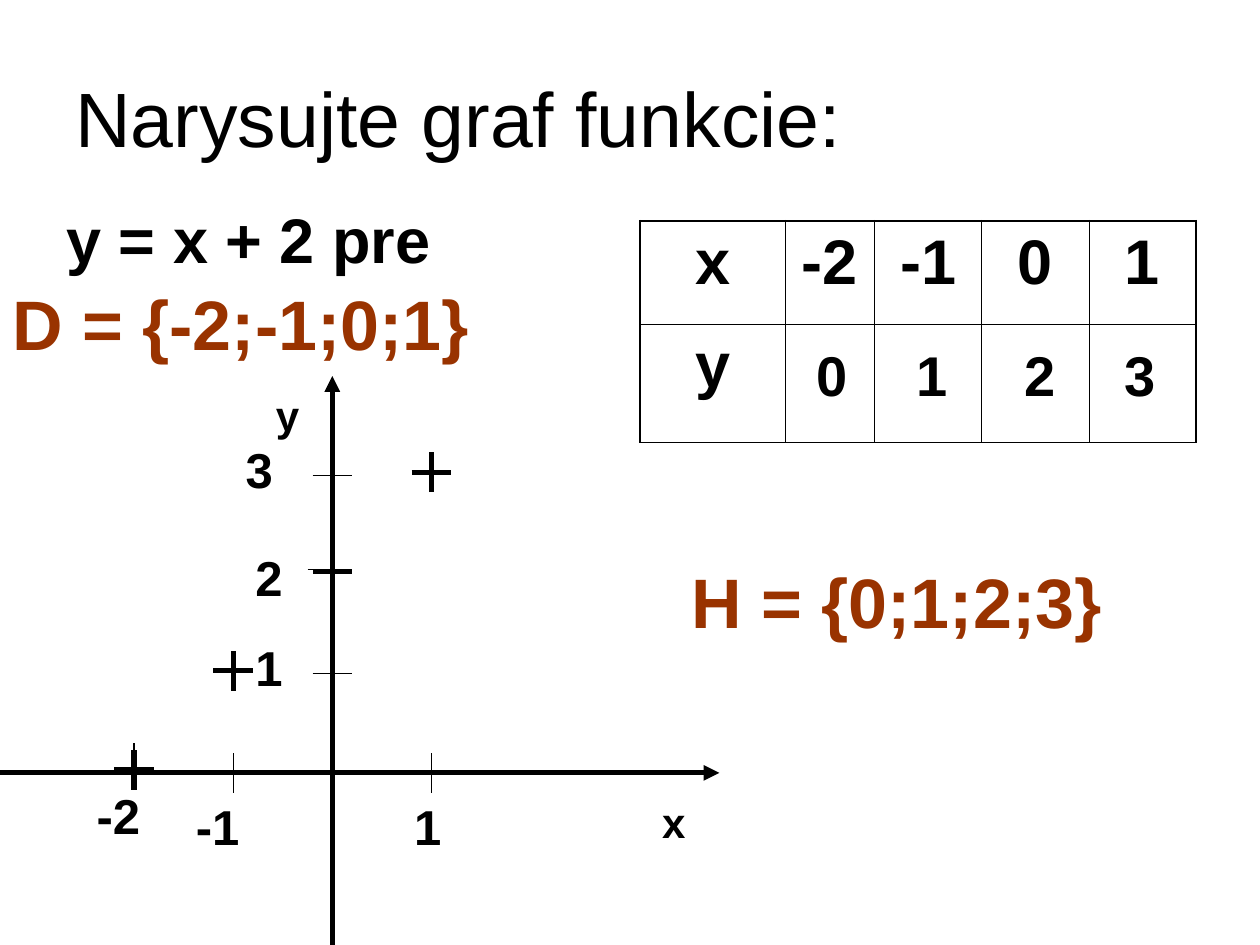
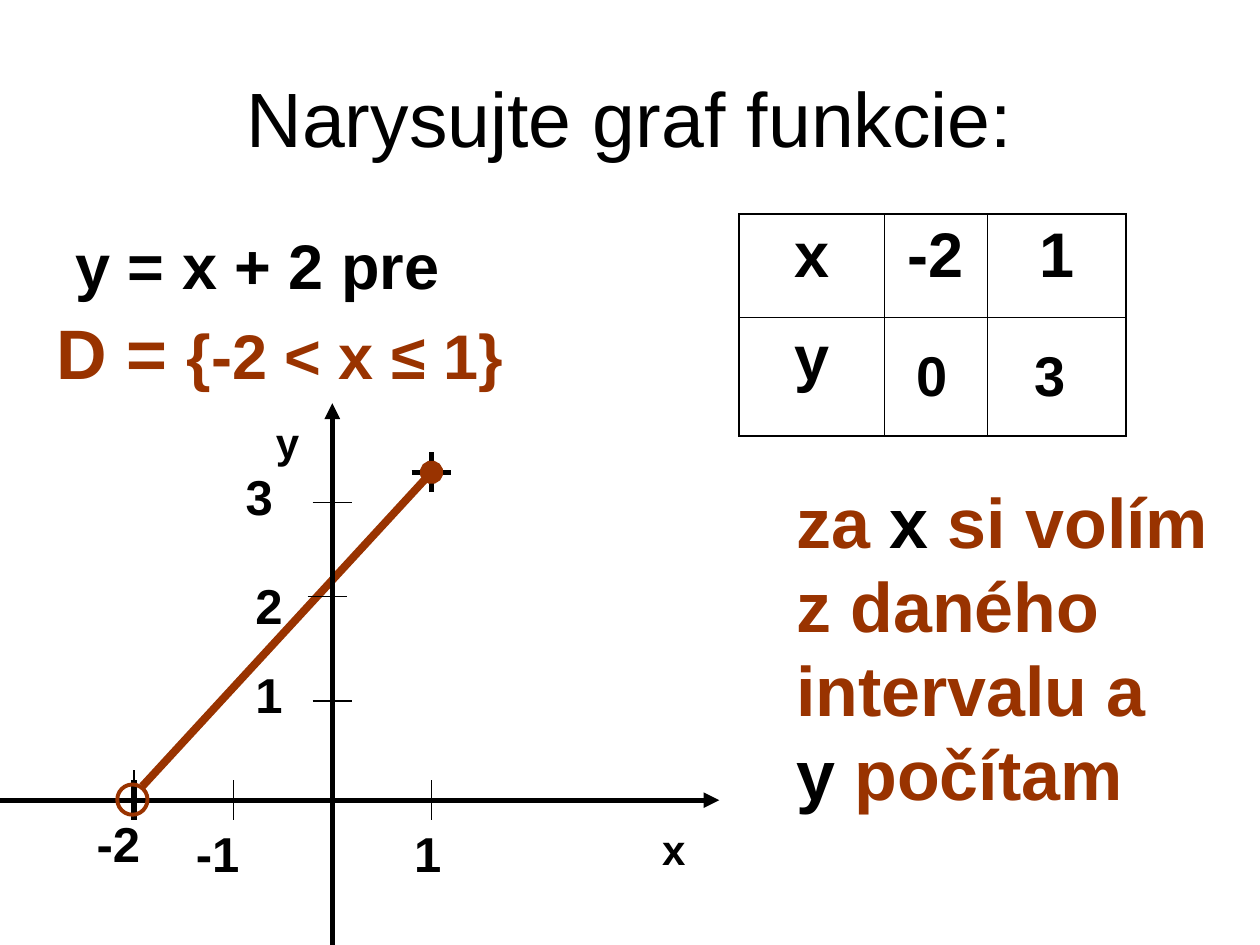
import pptx
import pptx.dml.color
import pptx.enum.shapes
import pptx.enum.text
import pptx.oxml
import pptx.oxml.ns
import pptx.util
from pptx.util import Cm

BLACK = "000000"
RUST = "993300"
FONT = "Arial"
LEFT = pptx.enum.text.PP_ALIGN.LEFT
CENTER = pptx.enum.text.PP_ALIGN.CENTER
TOP = pptx.enum.text.MSO_ANCHOR.TOP
MIDDLE = pptx.enum.text.MSO_ANCHOR.MIDDLE
LINE_HEIGHT = 1.2

# Coordinate system, in centimetres
UNIT = 2.0
ORIGIN_X = 6.7
HALF_MARK = 0.4


def color(hex_code):
    return pptx.dml.color.RGBColor.from_string(hex_code)


def element(xml):
    return pptx.oxml.parse_xml(xml.replace(">", " " + pptx.oxml.ns.nsdecls("a") + ">", 1))


class Sheet:
    """Shared style and the slide being drawn; lengths in centimetres."""

    def __init__(self, deck):
        self.deck = deck
        self.page = None

    def new_page(self):
        self.page = self.deck.slides.add_slide(self.deck.slide_layouts[6])

    def span(self, para, text, size, ink=BLACK, bold=True):
        span = para.add_run()
        span.text = text
        span.font.name = FONT
        span.font.size = pptx.util.Pt(size)
        span.font.bold = bold
        span.font.color.rgb = color(ink)

    def text(self, left, top, width, height, spans, align=LEFT, anchor=TOP):
        """Each span is (text, size, ink, bold); None breaks the line."""
        box = self.page.shapes.add_textbox(Cm(left), Cm(top), Cm(width), Cm(height))
        frame = box.text_frame
        frame.word_wrap = True
        frame.vertical_anchor = anchor
        para = frame.paragraphs[0]
        para.alignment = align
        para.line_spacing = pptx.util.Pt(LINE_HEIGHT * spans[0][1])
        for item in spans:
            if item is None:
                para.add_line_break()
            else:
                self.span(para, *item)

    def title(self, align):
        self.text(1.27, 0.76, 22.86, 3.18,
                  [("Narysujte graf funkcie:", 44, BLACK, False)], align, MIDDLE)

    def formula(self, left, top):
        self.text(left, top, 11.23, 2.87, [("y = x + 2 pre", 36)])

    def line(self, start, end, width=0.75, ink=BLACK, tail=None):
        straight = pptx.enum.shapes.MSO_CONNECTOR.STRAIGHT
        connector = self.page.shapes.add_connector(
            straight, *(Cm(value) for value in (*start, *end)))
        connector.line.width = pptx.util.Pt(width)
        connector.line.color.rgb = color(ink)
        if tail:
            connector.line._get_or_add_ln().append(element(f'<a:tailEnd type="{tail}"/>'.replace("/>", "></a:tailEnd>")))
        connector._element.spPr.append(element("<a:effectLst></a:effectLst>"))

    def horizontal(self, x, y, width=0.75):
        self.line((x - HALF_MARK, y), (x + HALF_MARK, y), width)

    def vertical(self, x, y, width=0.75):
        self.line((x, y + HALF_MARK), (x, y - HALF_MARK), width)

    def cross(self, x, y):
        self.horizontal(x, y, 3)
        self.vertical(x, y, 3)

    def ring(self, x, y, size):
        ring = self.page.shapes.add_shape(
            pptx.enum.shapes.MSO_SHAPE.OVAL,
            Cm(x - size / 2), Cm(y - size / 2), Cm(size), Cm(size))
        ring.shadow.inherit = False
        ring.fill.background()
        ring.line.color.rgb = color(RUST)
        ring.line.width = pptx.util.Pt(2.25)

    def axes(self, axis_y):
        # Axes with arrowheads
        self.line((0, axis_y), (14.5, axis_y), 3, tail="triangle")
        self.line((ORIGIN_X, 19.05), (ORIGIN_X, axis_y - 8), 3, tail="triangle")
        # Ticks: value and its small shift
        for value, shift in ((-2, -0.2), (-1, 0), (1, 0)):
            self.vertical(ORIGIN_X + value * UNIT, axis_y + shift)
        for value, shift_x, shift_y in ((1, 0, 0), (2, -0.1, -0.1), (3, 0, 0)):
            self.horizontal(ORIGIN_X + shift_x, axis_y - value * UNIT + shift_y)
        # Labels, placed from the origin
        for label, x, y in (("-2", -5, 0.14), ("2", -1.8, -4.66), ("-1", -3, 0.35),
                            ("1", 1.4, 0.35), ("3", -2, -6.84), ("1", -1.8, -2.85)):
            self.text(ORIGIN_X + x, axis_y + y, 1.8, 1.45, [(label, 28)])
        for label, x, y in (("y", -1.39, -7.86), ("x", 6.4, 0.35)):
            self.text(ORIGIN_X + x, axis_y + y, 1, 1.27, [(label, 24)])

    def table(self, left, top, widths, x_values):
        heights = (2.08, 2.39)
        frame = self.page.shapes.add_table(
            2, len(widths), Cm(left), Cm(top), Cm(sum(widths)), Cm(sum(heights)))
        table = frame.table
        table.first_row = table.horz_banding = False
        for column, width in zip(table.columns, widths):
            column.width = Cm(width)
        for row, height in zip(table.rows, heights):
            row.height = Cm(height)
        for row, texts in enumerate((["x", *x_values], ["y"] + [""] * len(x_values))):
            for column, text in enumerate(texts):
                cell = table.cell(row, column)
                cell.fill.background()
                if text:
                    para = cell.text_frame.paragraphs[0]
                    para.alignment = CENTER
                    self.span(para, text, 36)
                outer = {"L": column == 0, "R": column == len(widths) - 1,
                         "T": row == 0, "B": row == 1}
                self.borders(cell, outer)

    def borders(self, cell, outer):
        """Heavier lines around the table than inside it."""
        properties = cell._tc.get_or_add_tcPr()
        for place, (side, is_outer) in enumerate(outer.items()):
            width = pptx.util.Pt(1.08 if is_outer else 0.45)
            properties.insert(place, element(
                f'<a:ln{side} w="{width}"><a:solidFill><a:srgbClr val="{BLACK}"/>'
                f'</a:solidFill></a:ln{side}>'))

    def results(self, values):
        """Computed y values, written over the second table row."""
        for value, left in values:
            self.text(left, 6.73, 2.1, 1.63, [(value, 32)])


def draw_points(sheet):
    sheet.new_page()
    sheet.title(LEFT)
    sheet.formula(1.09, 3.91)
    sheet.table(12.9, 4.45, (2.93, 1.8, 2.16, 2.16, 2.16), ["-2", "-1", "0", "1"])
    # Points of the function
    for x in (0, -1, -2, 1):
        sheet.cross(ORIGIN_X + x * UNIT, 15.52 - (x + 2) * UNIT)
    sheet.axes(15.58)
    # Domain and range
    sheet.text(0, 5.54, 11.81, 1.96, [("D = {-2;-1;0;1}", 40, RUST)])
    sheet.text(13.69, 11.13, 9.2, 1.96, [("H = {0;1;2;3}", 40, RUST)])
    sheet.results((("0", 16.21), ("1", 18.22), ("2", 20.4), ("3", 22.41)))


def draw_interval(sheet):
    sheet.new_page()
    sheet.title(CENTER)
    sheet.formula(1.27, 4.45)
    sheet.table(14.9, 4.32, (2.93, 2.07, 2.8), ["-2", "1"])
    # End points and the segment between them
    sheet.cross(2.7, 16.13)
    sheet.cross(8.7, 9.52)
    sheet.line((2.87, 15.85), (8.7, 9.52), 4.5, RUST, "oval")
    sheet.axes(16.13)
    sheet.ring(2.67, 16.12, 0.61)
    # Explanation, domain and values
    sheet.text(15.8, 9.53, 9.6, 7.04, [
        ("za ", 40, RUST), ("x", 40), (" si volím z daného intervalu a", 40, RUST),
        None, ("y", 40), (" počítam", 40, RUST)])
    sheet.text(0.89, 6.12, 9.6, 1.96, [("D = ", 40, RUST), ("{-2 < x ≤ 1}", 36, RUST)])
    sheet.results((("0", 18.22), ("3", 20.6)))


def main():
    deck = pptx.Presentation()
    deck.slide_width = Cm(25.4)
    deck.slide_height = Cm(19.05)
    sheet = Sheet(deck)
    draw_points(sheet)
    draw_interval(sheet)
    deck.save("out.pptx")


if __name__ == "__main__":
    main()
